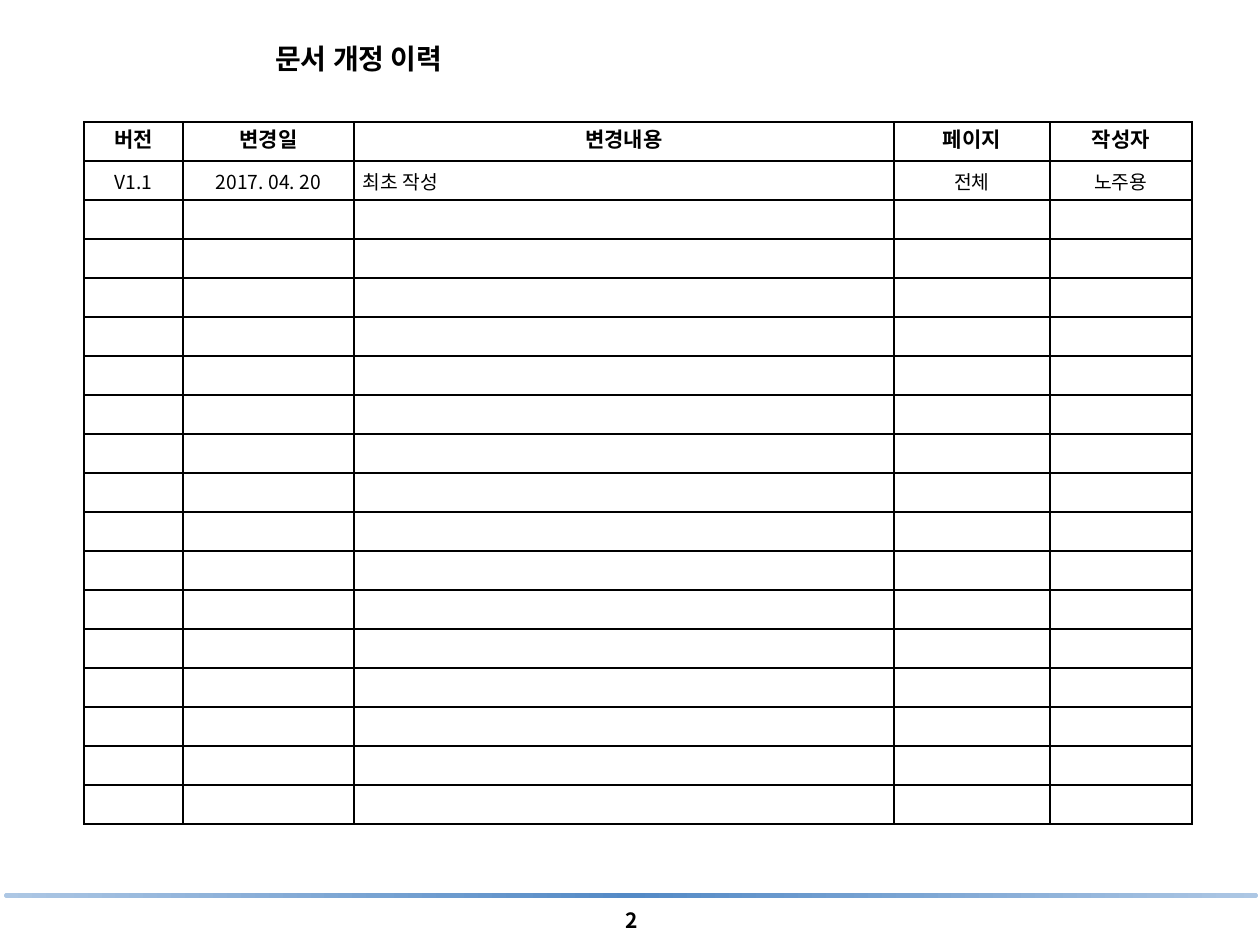
from lxml import etree
from pptx import Presentation
from pptx.dml.color import RGBColor as RGB
from pptx.enum.shapes import MSO_SHAPE as SHAPE
from pptx.enum.text import MSO_ANCHOR as ANCHOR, PP_ALIGN as ALIGN
from pptx.oxml import parse_xml
from pptx.oxml.ns import nsdecls, qn
from pptx.util import Emu, Pt

PX = 914400 // 126
COLORS = {"ink": "000000", "paper": "FFFFFF", "edge": "ADC7E4", "middle": "548AC6"}
FONT = "Noto Sans CJK KR"


def px(n):
    return Emu(n * PX)


class Page:
    def __init__(self, slide):
        self.slide = slide

    def add_text(self, p, text, size, bold=False, align=ALIGN.CENTER):
        p.alignment = align
        r = p.add_run()
        r.text = text
        r.font.size, r.font.bold, r.font.name = Pt(size), bold, FONT
        r.font.color.rgb = RGB.from_string(COLORS["ink"])
        etree.SubElement(r._r.get_or_add_rPr(), qn("a:ea"), typeface=FONT)

    def text(self, x, y, w, h, text, size, align):
        tf = self.slide.shapes.add_textbox(px(x), px(y), px(w), px(h)).text_frame
        tf.word_wrap = True
        self.add_text(tf.paragraphs[0], text, size, True, align)

    def gradient_bar(self, x, y, w, h):
        sp = self.slide.shapes.add_shape(SHAPE.ROUNDED_RECTANGLE, px(x), px(y), px(w), px(h))
        sp.adjustments[0] = 0.5
        sp.shadow.inherit = False
        sp.line.fill.background()
        stops = "".join(
            f'<a:gs pos="{pos}"><a:srgbClr val="{COLORS[name]}"/></a:gs>'
            for pos, name in ((0, "edge"), (50000, "middle"), (100000, "edge")))
        grad = parse_xml(f'<a:gradFill {nsdecls("a")}><a:gsLst>{stops}</a:gsLst>'
                         '<a:lin ang="0" scaled="0"/></a:gradFill>')
        sp._element.spPr.find(qn("a:prstGeom")).addnext(grad)

    def cell(self, cell):
        cell.margin_left = cell.margin_right = px(9)
        cell.margin_top = cell.margin_bottom = 0
        cell.vertical_anchor = ANCHOR.MIDDLE
        tcPr = cell._tc.get_or_add_tcPr()
        for side in ("lnL", "lnR", "lnT", "lnB"):
            tcPr.append(parse_xml(
                f'<a:{side} {nsdecls("a")} w="{Pt(1)}"><a:solidFill>'
                f'<a:srgbClr val="{COLORS["ink"]}"/></a:solidFill></a:{side}>'))
        cell.fill.solid()
        cell.fill.fore_color.rgb = RGB.from_string(COLORS["paper"])

    def table(self, x, y, widths, row_h, n_rows, header, rows, left_col):
        table = self.slide.shapes.add_table(
            n_rows, len(widths), px(x), px(y), px(sum(widths)), px(row_h * n_rows)).table
        table.first_row = table.horz_banding = False
        for col, w in zip(table.columns, widths):
            col.width = px(w)
        for row in table.rows:
            row.height = px(row_h)
        for i in range(n_rows):
            for j in range(len(widths)):
                cell = table.cell(i, j)
                self.cell(cell)
                p = cell.text_frame.paragraphs[0]
                if i == 0:
                    p.line_spacing = Pt(14)
                    self.add_text(p, header[j], 12, True)
                elif i <= len(rows):
                    align = ALIGN.LEFT if j == left_col else ALIGN.CENTER
                    self.add_text(p, rows[i - 1][j], 11, align=align)
                else:
                    # Small empty text keeps the row at its set height
                    etree.SubElement(p._p, qn("a:endParaRPr"), sz="1100")


prs = Presentation()
prs.slide_width, prs.slide_height = px(1260), px(945)
page = Page(prs.slides.add_slide(prs.slide_layouts[6]))

# Footer
page.gradient_bar(4, 893, 1254, 5)
page.text(577, 901, 110, 38, "2", 12, ALIGN.CENTER)

# Title
page.text(263, 35, 494, 47, "문서 개정 이력", 16, ALIGN.LEFT)

# Revision history
page.table(84, 122, [99, 171, 540, 156, 142], 39, 18,
           ["버전", "변경일", "변경내용", "페이지", "작성자"],
           [["V1.1", "2017. 04. 20", "최초 작성", "전체", "노주용"]], left_col=2)

prs.save("out.pptx")
